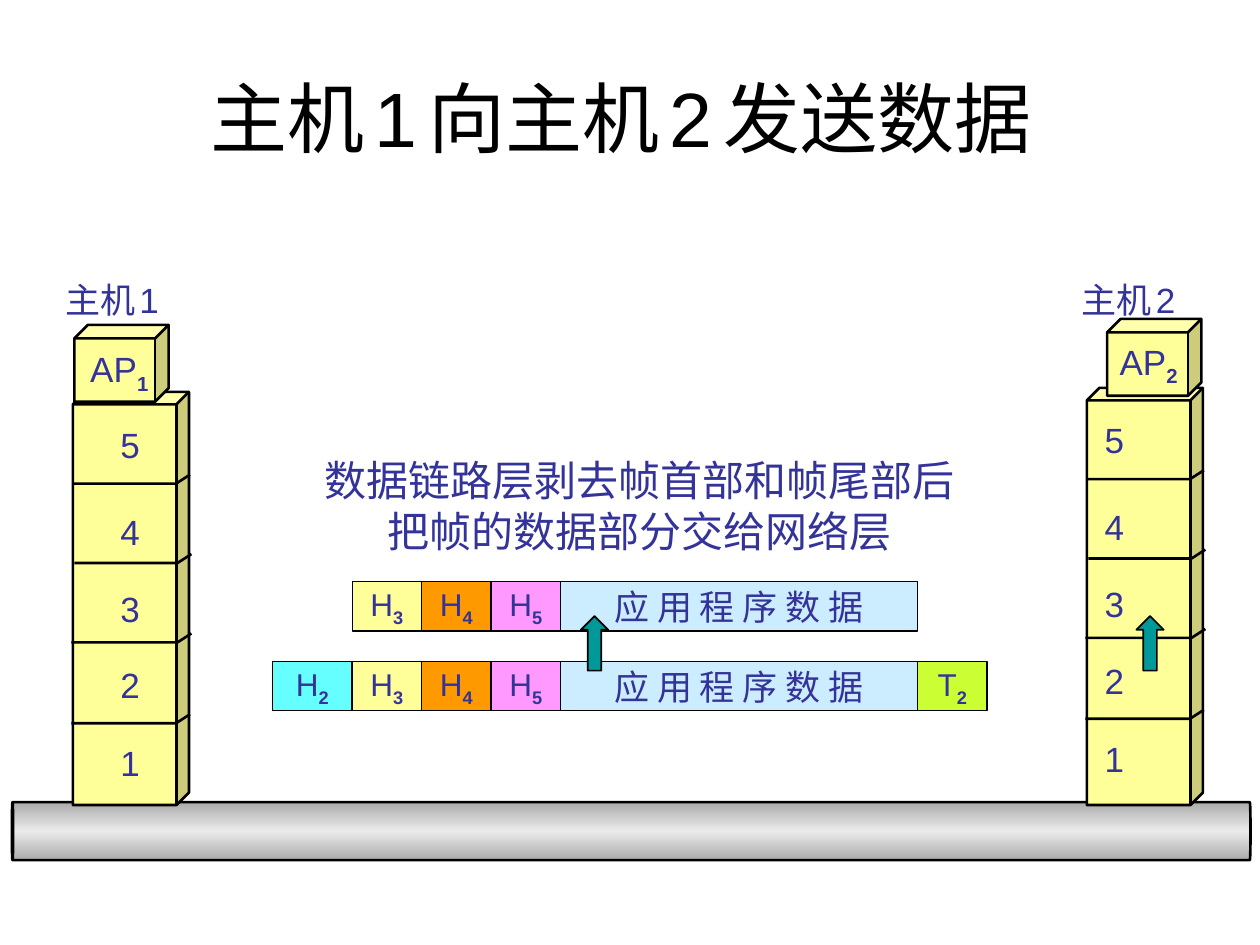
import copy
from dataclasses import dataclass

import pptx
import pptx.util
from pptx.dml.color import RGBColor
from pptx.enum.shapes import MSO_SHAPE
from pptx.enum.text import MSO_ANCHOR, MSO_AUTO_SIZE, PP_ALIGN
from pptx.oxml.ns import qn
from pptx.util import Cm


@dataclass(frozen=True)
class Theme:
    font: str = "Arial"
    data_font: str = "Karla"
    ink: str = "333399"
    black: str = "000000"
    yellow: str = "FFFF99"
    orange: str = "FF9900"
    pink: str = "FF99FF"
    pale_blue: str = "CCECFF"
    cyan: str = "66FFFF"
    lime: str = "CCFF33"
    teal: str = "009999"
    cable_dark: str = "ACACAC"
    cable_light: str = "EAEAEA"
    title: int = 44
    title_gap: int = 24
    note: int = 24
    label: int = 20
    header: int = 18
    label_gap: int = 10


T = Theme()
ROW_H = 0.99
CELL_W = 1.4
DATA_X = 11.3
DATA_W = 7.2
TOWER_BOTTOM = 16.23


def rgb(value):
    return RGBColor.from_string(value)


def write(p, text, size, color=T.ink, sub="", font=T.font, align=None, gap=None):
    """Write one paragraph; sub is a subscript, gap the size of its spaces."""
    if align is not None:
        p.alignment = align
    p.font.name, p.font.size = font, pptx.util.Pt(size)
    p.font.color.rgb = rgb(color)
    words = text.split(" ") if gap else [text]
    for i, word in enumerate(words):
        if i:
            r = p.add_run()
            r.text, r.font.size = " ", pptx.util.Pt(gap)
        r = p.add_run()
        r.text = word
    if sub:
        r = p.add_run()
        r.text, r.font.bold = sub, True
        r.font._element.set("baseline", "-25000")


def outline(sp, width):
    sp.shadow.inherit = False
    sp.line.color.rgb = rgb(T.black)
    sp.line.width = pptx.util.Pt(width)


def add_shape(shapes, kind, box, fill, width=1.5, adj=None):
    sp = shapes.add_shape(kind, *map(Cm, box))
    outline(sp, width)
    sp.fill.solid()
    sp.fill.fore_color.rgb = rgb(fill)
    if adj is not None:
        sp.adjustments[0] = adj
    return sp


def add_label(s, box, lines, size, wrap=False, **style):
    tf = s.shapes.add_textbox(*map(Cm, box)).text_frame
    tf.word_wrap = wrap
    tf.auto_size = MSO_AUTO_SIZE.SHAPE_TO_FIT_TEXT
    for i, line in enumerate(lines):
        p = tf.add_paragraph() if i else tf.paragraphs[0]
        write(p, line, size, **style)


def add_cell(shapes, x, y, w, fill, text, size=T.header, **style):
    sp = add_shape(shapes, MSO_SHAPE.RECTANGLE, (x, y, w, ROW_H), fill, 0.75)
    tf = sp.text_frame
    tf.word_wrap = False
    tf.vertical_anchor = MSO_ANCHOR.MIDDLE
    write(tf.paragraphs[0], text, size, align=PP_ALIGN.CENTER, **style)


def add_packet(s, y):
    """Headers H3 to H5 followed by the application data."""
    group = s.shapes.add_group_shape().shapes
    fills = (T.yellow, T.orange, T.pink)
    for i, fill in enumerate(fills):
        x = DATA_X - (len(fills) - i) * CELL_W
        add_cell(group, x, y, CELL_W, fill, "H", sub=str(i + 3))
    add_cell(group, DATA_X, y, DATA_W, T.pale_blue, "应 用 程 序 数 据",
             T.label, font=T.data_font)


def add_divider(s, points):
    pts = [(Cm(x), Cm(y)) for x, y in points]
    fb = s.shapes.build_freeform(*pts[0])
    fb.add_line_segments(pts[1:], close=False)
    sp = fb.convert_to_shape()
    sp.fill.background()
    outline(sp, 1.5)


def add_tower(s, x, top, label_x, shift):
    """Five-layer stack; shift moves its labels and dividers vertically."""
    add_shape(s.shapes, MSO_SHAPE.CUBE, (x, top, 2.34, TOWER_BOTTOM - top),
              T.yellow, adj=0.108)
    for layer, y in zip("54321", (8.41, 10.16, 11.71, 13.26, 14.83)):
        add_label(s, (label_x, y + shift, 0.89, 1.12), [layer], T.label)
    # Start, front edge and rear edge of each divider, as offsets from x
    dividers = ((0, 2.08, 9.75), (0.03, 2.11, 11.35),
                (-0.03, 2.11, 12.95), (-0.03, 2.08, 14.58))
    for start, edge, y in dividers:
        y += shift
        add_divider(s, [(x + start, y), (x + edge, y),
                        (x + edge + 0.28, y - 0.18)])


def add_host(s, number, name_x, ap, ap_label):
    add_label(s, (name_x, 5.49, 2.8, 1.12), [f"主机 {number}"], T.label,
              wrap=True, gap=T.label_gap)
    add_shape(s.shapes, MSO_SHAPE.CUBE, (*ap, 1.9, 1.55), T.yellow, adj=0.176)
    add_label(s, (*ap_label, 1.68, 1.22), ["AP"], T.label, sub=number)


def add_cable(s):
    sp = add_shape(s.shapes, MSO_SHAPE.CAN, (12.14, 4.27, 1.17, 24.97),
                   T.cable_dark, adj=0.023)
    sp.rotation = 270
    sp.fill.gradient()
    sp.fill.gradient_angle = 0
    stops = sp._element.spPr.find(".//" + qn("a:gsLst"))
    stops.insert(1, copy.deepcopy(stops[0]))
    colors = (T.cable_dark, T.cable_light, T.cable_dark)
    for i, (stop, color) in enumerate(zip(sp.fill.gradient_stops, colors)):
        stop.position = i / 2
        stop.color.rgb = rgb(color)


def add_title(s, text):
    sp = s.shapes.title
    sp.left, sp.top, sp.width, sp.height = map(Cm, (1.27, 0.76, 22.86, 3.18))
    sp.text_frame.vertical_anchor = MSO_ANCHOR.MIDDLE
    p = sp.text_frame.paragraphs[0]
    write(p, text, T.title, T.black, align=PP_ALIGN.CENTER, gap=T.title_gap)
    p.runs[-1].text += " "


def main():
    prs = pptx.Presentation()
    prs.slide_width, prs.slide_height = Cm(25.4), Cm(19.05)
    s = prs.slides.add_slide(prs.slide_layouts[5])
    add_title(s, "主机 1 向主机 2 发送数据")

    # Cable and the two hosts
    add_cable(s)
    add_tower(s, 1.47, 7.9, 2.18, 0)
    add_tower(s, 21.91, 7.82, 22.02, -0.09)
    add_host(s, "1", 1.07, (1.5, 6.55), (1.57, 6.88))
    add_host(s, "2", 21.56, (22.32, 6.43), (22.32, 6.73))

    # Explanation
    add_label(s, (6.28, 9.04, 13.21, 2.29),
              ["数据链路层剥去帧首部和帧尾部后", "把帧的数据部分交给网络层"],
              T.note, align=PP_ALIGN.CENTER)

    # Packet above, complete frame below
    frame_y = 13.34
    add_packet(s, 11.73)
    add_cell(s.shapes, 5.49, frame_y, 1.61, T.cyan, "H", sub="2")
    add_cell(s.shapes, DATA_X + DATA_W, frame_y, CELL_W, T.lime, "T", sub="2")
    add_packet(s, frame_y)

    # Upward hand-over from layer 2 to layer 3
    for x in (22.91, 11.71):
        add_shape(s.shapes, MSO_SHAPE.UP_ARROW, (x, 12.42, 0.55, 1.1), T.teal, 1)

    prs.save("out.pptx")


if __name__ == "__main__":
    main()
